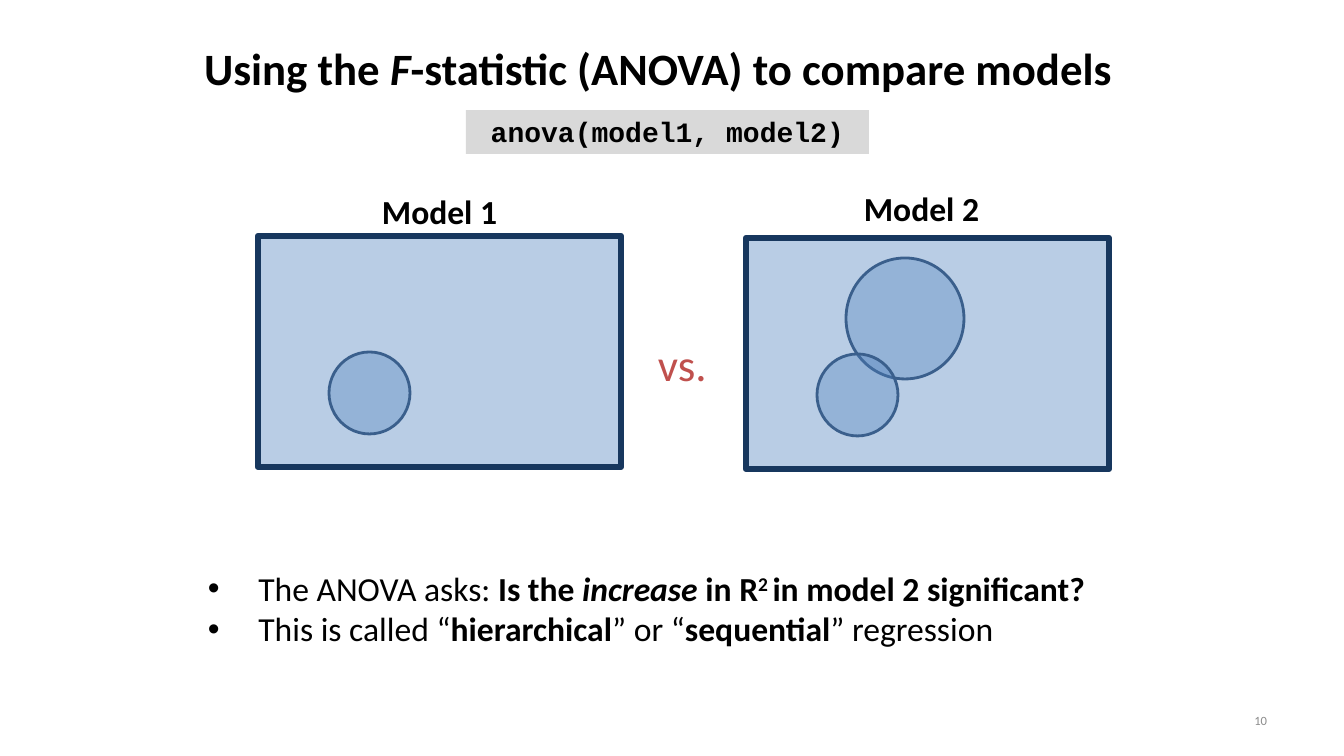
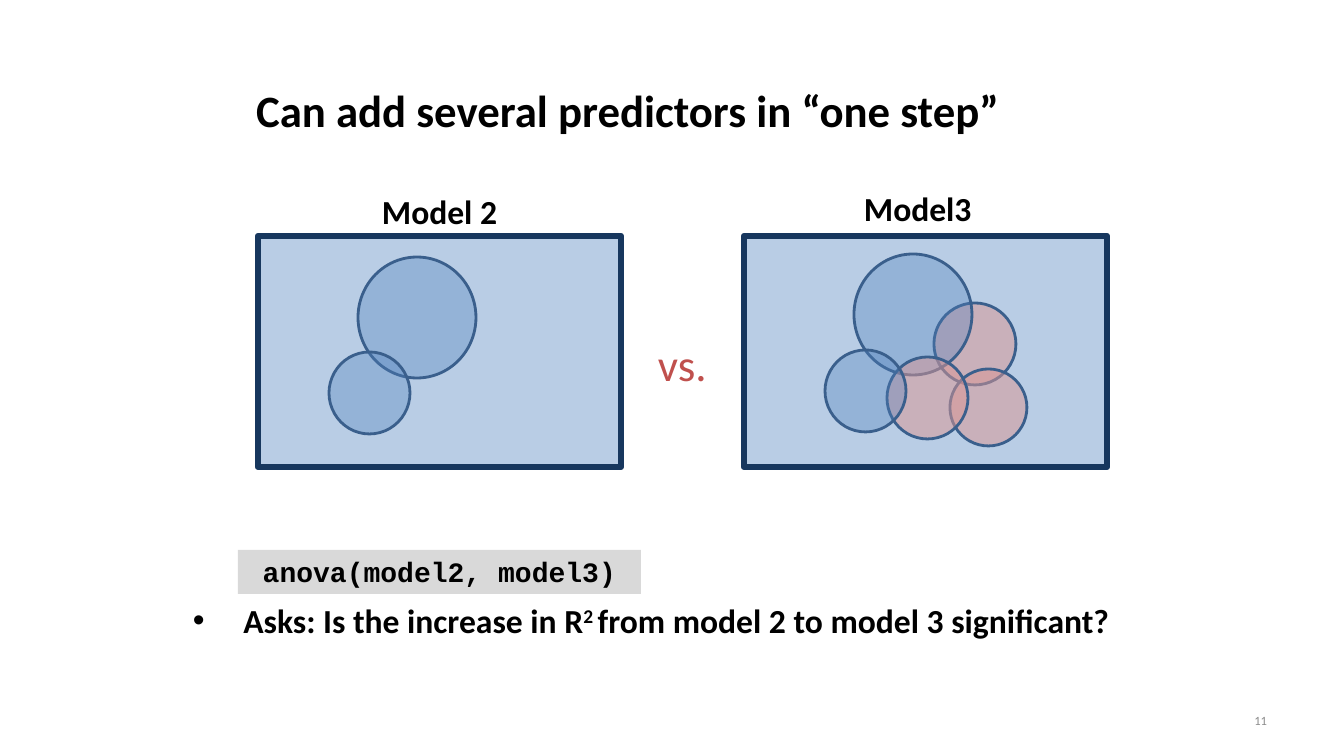
from lxml import etree
from pptx import Presentation
from pptx.dml.color import RGBColor
from pptx.enum.shapes import MSO_SHAPE
from pptx.enum.text import MSO_ANCHOR, MSO_AUTO_SIZE, PP_ALIGN
from pptx.oxml.ns import qn
from pptx.util import Emu, Pt

RECT, OVAL = MSO_SHAPE.RECTANGLE, MSO_SHAPE.OVAL
LEFT, CENTER, RIGHT = PP_ALIGN.LEFT, PP_ALIGN.CENTER, PP_ALIGN.RIGHT
TOP, MIDDLE = MSO_ANCHOR.TOP, MSO_ANCHOR.MIDDLE
NO_FIT = MSO_AUTO_SIZE.NONE

BLACK, GREY, CHIP = "000000", "8C8C8C", "D9D9D9"
PANEL, NAVY, OUTLINE = "B9CDE5", "17375E", "3A5F8C"
BLUE, PINK, RED = ("4F81BD", 34), ("D99694", 52), "C0504D"
BIG, SMALL = (118, 121), (81, 82)
SANS, MONO = "Calibri", "Courier New"


def px(n):
    return Emu(round(n * 914400 / 100.8))


def rgb(color):
    return RGBColor.from_string(color)


class Deck:
    def __init__(self):
        self.prs = Presentation()
        self.prs.slide_width, self.prs.slide_height = px(1344), px(756)

    def slide(self, number, title, box, wrap=True):
        self.s = self.prs.slides.add_slide(self.prs.slide_layouts[5])
        sp = self.s.shapes.title
        sp.left, sp.top, sp.width, sp.height = map(px, box)
        self.fill_text(sp, [title], 32, wrap=wrap)
        self.text(str(number), (964, 701, 313, 40), 9, GREY, RIGHT, MIDDLE)

    def fill_text(self, sp, paragraphs, size, color=BLACK, align=LEFT,
                  anchor=TOP, font=SANS, wrap=True):
        tf = sp.text_frame
        tf.word_wrap, tf.auto_size, tf.vertical_anchor = wrap, NO_FIT, anchor
        for i, parts in enumerate(paragraphs):
            p = tf.add_paragraph() if i else tf.paragraphs[0]
            p.alignment = align
            for text, style in parts:
                r = p.add_run()
                r.text = text
                r.font.name, r.font.size = font, Pt(size)
                r.font.bold, r.font.italic = "b" in style, "i" in style
                r.font.color.rgb = rgb(color)
                if "^" in style:
                    r._r.get_or_add_rPr().set("baseline", "30000")
        return tf

    def text(self, text, box, size, color=BLACK, align=LEFT, anchor=TOP,
             style="", wrap=True):
        sp = self.s.shapes.add_textbox(*map(px, box))
        self.fill_text(sp, [[(text, style)]], size, color, align, anchor,
                       wrap=wrap)

    def bullets(self, paragraphs, box):
        sp = self.s.shapes.add_textbox(*map(px, box))
        for p in self.fill_text(sp, paragraphs, 24).paragraphs:
            ppr = p._p.get_or_add_pPr()
            ppr.set("marL", "457200")
            ppr.set("indent", "-457200")
            etree.SubElement(ppr, qn("a:buFont"), typeface="Arial")
            etree.SubElement(ppr, qn("a:buChar"), char="•")

    def shape(self, kind, box, fill, line=None, width=0, opacity=100):
        sp = self.s.shapes.add_shape(kind, *map(px, box))
        sp.shadow.inherit = False
        sp.fill.solid()
        sp.fill.fore_color.rgb = rgb(fill)
        if opacity < 100:
            clr = sp._element.spPr.find(qn("a:solidFill"))[0]
            etree.SubElement(clr, qn("a:alpha"), val=str(opacity * 1000))
        if line:
            sp.line.color.rgb = rgb(line)
            sp.line.width = Pt(width)
        else:
            sp.line.fill.background()
        return sp

    def code(self, text, left, top):
        sp = self.shape(RECT, (left, top, 403, 44), CHIP)
        self.fill_text(sp, [[(text, "b")]], 20, align=CENTER, font=MONO)

    def model(self, name, label_box, left, top, circles):
        self.text(name, label_box, 24, style="b", wrap=False)
        self.shape(RECT, (left, top, 363, 231), PANEL, NAVY, 4.5)
        for x, y, size, (color, opacity) in circles:
            self.shape(OVAL, (x, y, *size), color, OUTLINE, 2, opacity)

    def versus(self):
        self.text("vs.", (648, 332, 70, 65), 32, RED, wrap=False)


LEFT_LABEL, RIGHT_LABEL = (372, 186, 137, 51), (854, 183, 137, 51)
FIRST = (329, 352, SMALL, BLUE)

deck = Deck()

deck.slide(10, [("Using the ", "b"), ("F", "bi"),
                ("-statistic (ANOVA) to compare models", "b")],
           (194, 36, 947, 65))
deck.code("anova(model1, model2)", 466, 110)
deck.model("Model 1", LEFT_LABEL, 258, 236, [FIRST])
deck.versus()
deck.model("Model 2", RIGHT_LABEL, 746, 238,
           [(846, 258, BIG, BLUE), (817, 354, SMALL, BLUE)])
deck.bullets([
    [("The ANOVA asks: ", ""), ("Is the ", "b"), ("increase", "bi"),
     (" in R", "b"), ("2 ", "b^"), ("in model 2 significant?", "b")],
    [("This is called “", ""), ("hierarchical", "b"), ("” or “", ""),
     ("sequential", "b"), ("” regression", "")],
], (198, 563, 940, 92))

deck.slide(11, [("Can add several predictors in “one step”", "b")],
           (246, 78, 770, 65), wrap=False)
deck.model("Model 2", LEFT_LABEL, 258, 236,
           [(358, 257, BIG, BLUE), FIRST])
deck.versus()
deck.model("Model3", (854, 183, 129, 51), 744, 236, [
    (934, 303, (82, 82), PINK),
    (854, 254, BIG, BLUE),
    (950, 369, (77, 77), PINK),
    (887, 357, SMALL, PINK),
    (825, 350, SMALL, BLUE),
])
deck.code("anova(model2, model3)", 238, 550)
deck.bullets([[("Asks: Is the increase in R", "b"), ("2 ", "b^"),
               ("from model 2 to model 3 significant?", "b")]],
             (183, 595, 967, 51))

deck.prs.save("out.pptx")
